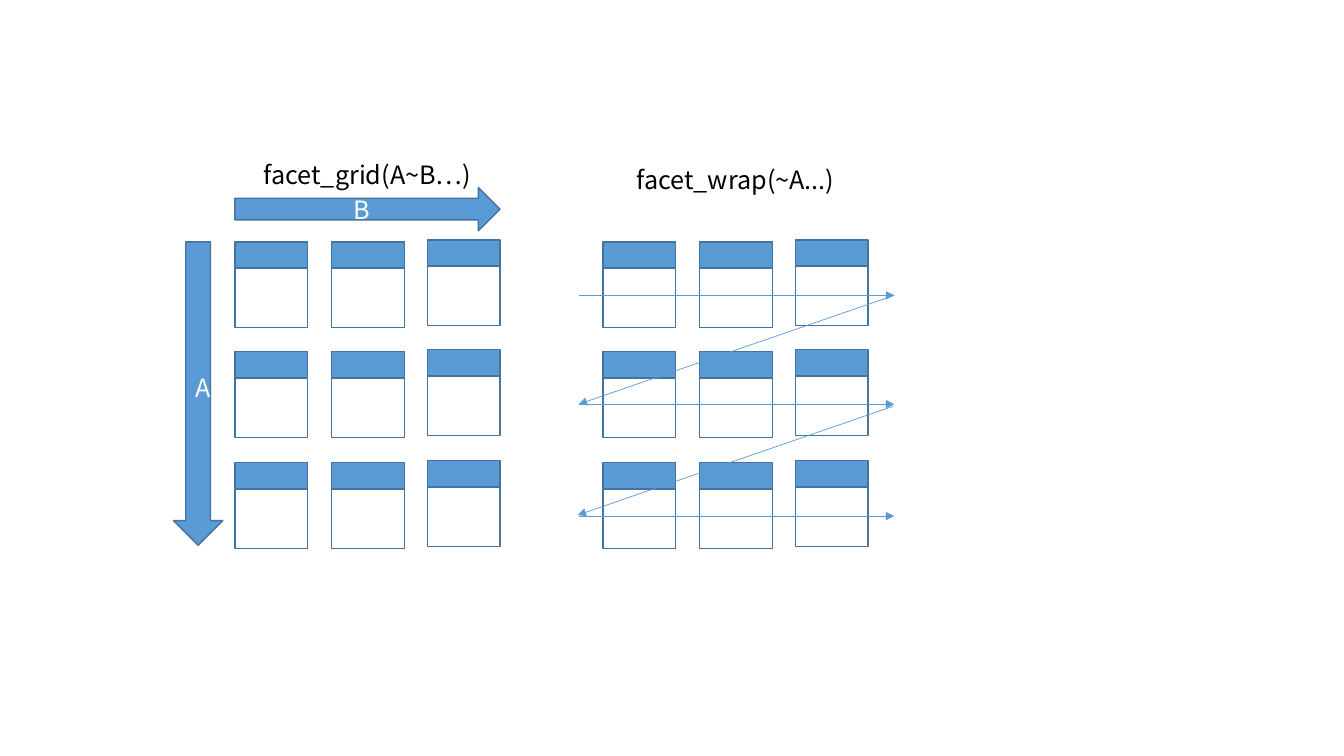
from itertools import product

from pptx import Presentation
from pptx.dml.color import RGBColor as Rgb
from pptx.enum.shapes import MSO_CONNECTOR as Connector, MSO_SHAPE as Preset
from pptx.enum.text import MSO_ANCHOR as Anchor, MSO_AUTO_SIZE as AutoSize, PP_ALIGN as Align
from pptx.oxml.ns import qn
from pptx.util import Emu, Pt
from lxml.etree import SubElement

EMU_PER_PX = 9144
COLORS = {"blue": "5B9BD5", "outline": "43739E", "title": "000000", "label": "FFFFFF"}
FONT = {"name": "Noto Sans CJK KR", "size": Pt(18)}
TITLE_FRAME = {"word_wrap": True, "auto_size": AutoSize.SHAPE_TO_FIT_TEXT}
LABEL_FRAME = {"word_wrap": True, "vertical_anchor": Anchor.MIDDLE}

GRID_LEFT, WRAP_LEFT = 233, 598
COLUMN_OFFSETS = (0, 96, 191)
ROW_TOPS = (240, 349, 459)
LAST_COLUMN_RAISE = 2
PANEL_WIDTH, STRIP_HEIGHT, PLOT_HEIGHT = 72, 26, 59
PATH_LEFT, PATH_RIGHT = 574, 887
PATH_ROWS = (293, 401, 512)


def px(*lengths):
    """Turn pixel lengths into EMU."""
    return [Emu(length * EMU_PER_PX) for length in lengths]


def color(key):
    """Look up a palette colour."""
    return Rgb.from_string(COLORS[key])


def apply(target, values):
    """Set each attribute in values on target."""
    for attribute, value in values.items():
        setattr(target, attribute, value)


def write(frame, wording, ink, layout):
    """Write one centred line into a text frame."""
    apply(frame, layout)
    line = frame.paragraphs[0]
    line.alignment = Align.CENTER
    run = line.add_run()
    run.text = wording
    apply(run.font, FONT)
    run.font.color.rgb = color(ink)


def add_block(shapes, preset, box, filled=True):
    """Add an outlined block, blue or hollow."""
    block = shapes.add_shape(preset, *px(*box))
    block.shadow.inherit = False
    if filled:
        block.fill.solid()
        block.fill.fore_color.rgb = color("blue")
    else:
        block.fill.background()
    block.line.color.rgb = color("outline")
    block.line.width = Pt(1)
    return block


def add_panel(shapes, left, top):
    """Add one facet: a strip above its plot area."""
    facet = shapes.add_group_shape().shapes
    add_block(facet, Preset.RECTANGLE, (left, top, PANEL_WIDTH, STRIP_HEIGHT))
    add_block(facet, Preset.RECTANGLE,
              (left, top + STRIP_HEIGHT, PANEL_WIDTH, PLOT_HEIGHT), filled=False)


def add_panels(shapes, left):
    """Add a three by three grid of facets."""
    for top, offset in product(ROW_TOPS, COLUMN_OFFSETS):
        is_last = offset == COLUMN_OFFSETS[-1]
        add_panel(shapes, left + offset, top - LAST_COLUMN_RAISE * is_last)


def add_title(shapes, wording, box):
    """Add the function call above a grid."""
    title = shapes.add_textbox(*px(*box))
    write(title.text_frame, wording, "title", TITLE_FRAME)


def add_direction(shapes, preset, wording, box):
    """Add a labelled block arrow for a faceting variable."""
    direction = add_block(shapes, preset, box)
    write(direction.text_frame, wording, "label", LABEL_FRAME)


def add_step(shapes, start, end):
    """Add a thin arrow along the wrapping order."""
    step = shapes.add_connector(Connector.STRAIGHT, *px(*start, *end))
    step.line.color.rgb = color("blue")
    step.line.width = Pt(0.5)
    SubElement(step.line._get_or_add_ln(), qn("a:tailEnd"), type="triangle")
    SubElement(step._element.spPr, qn("a:effectLst"))


def add_wrap_order(shapes):
    """Add the zigzag reading order through the rows."""
    for row in PATH_ROWS:
        add_step(shapes, (PATH_LEFT, row), (PATH_RIGHT, row))
    first, second, third = PATH_ROWS
    add_step(shapes, (PATH_RIGHT, first), (PATH_LEFT, second))
    add_step(shapes, (PATH_RIGHT - 1, second + 2), (PATH_LEFT - 1, third - 1))


def main():
    """Build the slide comparing the two facet layouts."""
    deck = Presentation()
    deck.slide_width, deck.slide_height = px(1333, 750)
    shapes = deck.slides.add_slide(deck.slide_layouts[6]).shapes
    for left in (GRID_LEFT, WRAP_LEFT):
        add_panels(shapes, left)
    add_title(shapes, "facet_grid(A~B…)", (239, 153, 251, 40))
    add_title(shapes, "facet_wrap(~A...)", (604, 158, 251, 40))
    add_direction(shapes, Preset.RIGHT_ARROW, "B", (GRID_LEFT, 186, 263, 43))
    add_direction(shapes, Preset.DOWN_ARROW, "A", (172, 240, 49, 301))
    add_wrap_order(shapes)
    deck.save("out.pptx")


if __name__ == "__main__":
    main()
